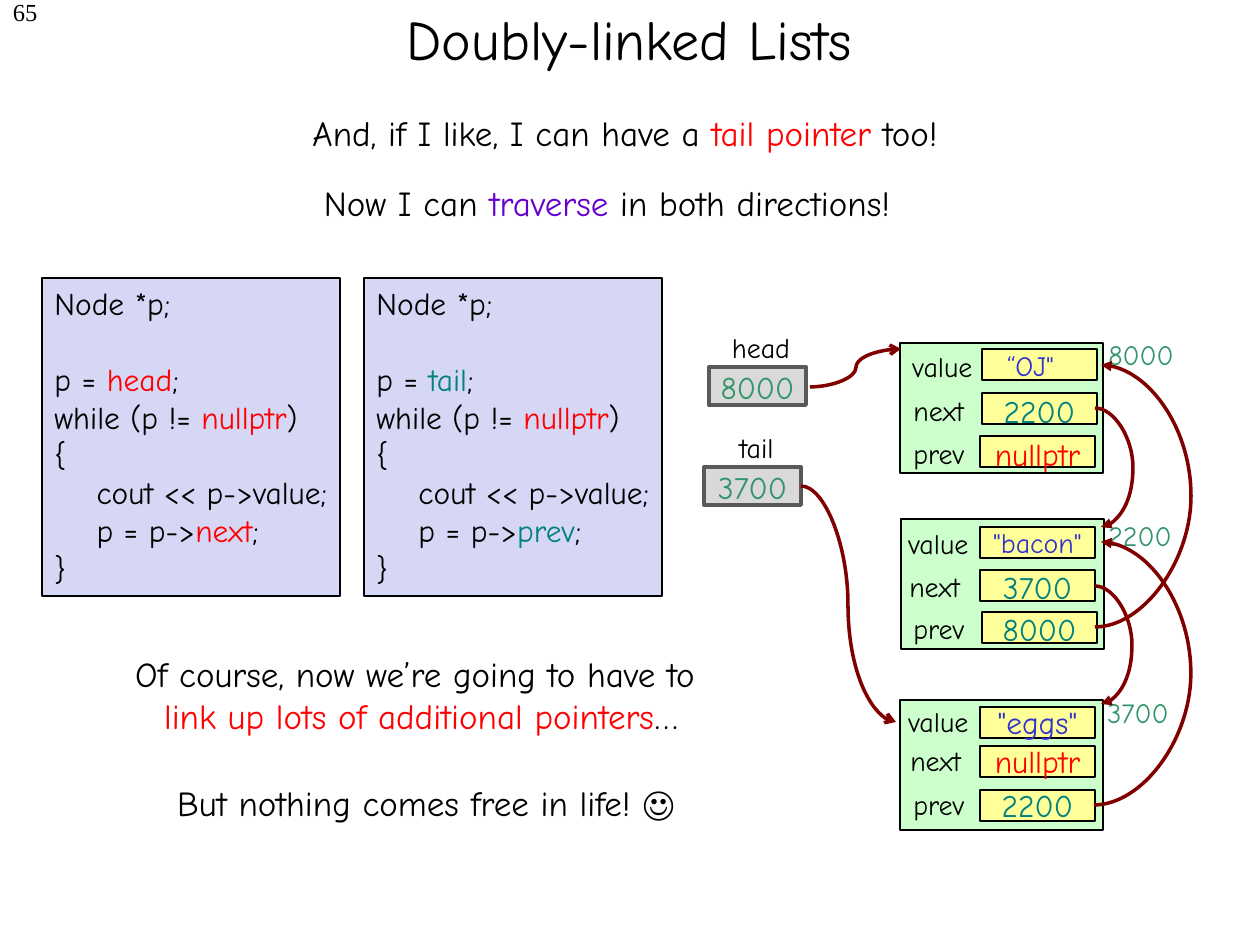
from lxml import etree
from pptx import Presentation
from pptx import util as u
from pptx.dml.color import RGBColor
from pptx.enum import shapes, text
from pptx.oxml.ns import qn

PX = 914400 // 126
FONT = "Comic Neue"
COLORS = {
    "black": "000000", "red": "FF0000", "purple": "6600CC", "teal": "008080",
    "green": "32946A", "blue": "3333CC", "maroon": "800000", "node": "CCFFCC",
    "cell": "FFFF99", "pointer": "D9D9D9", "edge": "595959", "code": "D6D6F5",
}
LEFT, CENTER, RIGHT = text.PP_ALIGN.LEFT, text.PP_ALIGN.CENTER, text.PP_ALIGN.RIGHT

SENTENCES = [
    ((94, -40, 1071, 157), 32, [("Doubly-linked Lists", "black")]),
    ((42, 105, 1166, 55), 20, [("And, if I like, I can have a ", "black"),
                               ("tail pointer ", "red"), ("too!", "black")]),
    ((24, 175, 1166, 55), 20, [("Now I can ", "black"), ("traverse ", "purple"),
                               ("in both directions!", "black")]),
    ((57, 646, 728, 97), 20, [("Of course, now we’re going to have to ", "black"), ("\n", "black"),
                              ("link up lots of additional pointers", "red"), ("…", "black")]),
    ((62, 775, 728, 55), 20, [("But nothing comes free in life! ☺", "black")]),
]
LOOPS = [(42, "head", "next", "red"), (364, "tail", "prev", "teal")]
POINTERS = [("head", "8000", 709, 367), ("tail", "3700", 704, 467)]
NODES = [
    {"at": (900, 343), "address": ("8000", 1096, 331), "lift": 6, "fields": [
        ("value", 900, 982, 349, "“OJ\"", "blue", 16, -9),
        ("next", 901, 982, 393, "2200", "teal", 18, 0),
        ("prev", 901, 980, 436, "nullptr", "red", 18, 0)]},
    {"at": (901, 519), "address": ("2200", 1096, 512), "lift": 7, "fields": [
        ("value", 896, 980, 527, "\"bacon\"", "blue", 16, 0),
        ("next", 897, 980, 570, "3700", "teal", 18, 0),
        ("prev", 901, 982, 612, "8000", "teal", 18, 0)]},
    {"at": (900, 700), "address": ("3700", 1095, 689), "lift": 9, "fields": [
        ("value", 896, 980, 707, "\"eggs\"", "blue", 18, 0),
        ("next", 898, 980, 746, "nullptr", "red", 18, 0),
        ("prev", 901, 980, 790, "2200", "teal", 18, 0)]},
]
LABEL_WIDTHS = {"value": 92, "next": 86, "prev": 83, "head": 88, "tail": 69}
LINKS = [
    ((1095, 408), (1101, 527), 1133, "triangle"),
    ((810, 387), (901, 349), 856, "arrow"),
    ((1095, 586), (1101, 704), 1132, "triangle"),
    ((1094, 805), (1101, 542), 1191, "triangle"),
    ((1095, 627), (1101, 365), 1191, "triangle"),
    ((801, 486), (896, 722), 848, "arrow"),
]


def color(name):
    return RGBColor.from_string(COLORS[name])


def emu(*lengths):
    return [length * PX for length in lengths]


def add_runs(paragraph, runs, size, align=LEFT, font=FONT):
    paragraph.alignment = align
    for words, shade in runs:
        if words == "\n":
            paragraph.add_line_break()
            continue
        run = paragraph.add_run()
        run.text = words
        run.font.name = font
        run.font.size = u.Pt(size)
        run.font.color.rgb = color(shade)


def add_text(slide, box, runs, size, align=LEFT, wrap=False, font=FONT, anchor=text.MSO_ANCHOR.TOP):
    frame = slide.shapes.add_textbox(*emu(*box)).text_frame
    frame.word_wrap = wrap
    frame.vertical_anchor = anchor
    add_runs(frame.paragraphs[0], runs, size, align, font)


def add_box(slide, box, fill, edge="black", weight=1):
    shape = slide.shapes.add_shape(shapes.MSO_SHAPE.RECTANGLE, *emu(*box))
    shape.shadow.inherit = False
    shape.fill.solid()
    shape.fill.fore_color.rgb = color(fill)
    shape.line.color.rgb = color(edge)
    shape.line.width = u.Pt(weight)
    return shape


def add_loop(slide, left, start, step, shade):
    lines = [
        [("Node *p;", "black")],
        [("p = ", "black"), (start, shade), (";", "black")],
        [("while (p != ", "black"), ("nullptr", "red"), (")", "black")],
        [("{", "black")],
        [("    cout << p->value;", "black")],
        [("    p = p->", "black"), (step, shade), (";", "black")],
        [("}", "black")],
    ]
    frame = add_box(slide, (left, 278, 298, 318), "code", weight=0.75).text_frame
    frame.word_wrap = False
    frame.vertical_anchor = text.MSO_ANCHOR.TOP
    for index, runs in enumerate(lines):
        paragraph = frame.add_paragraph() if index else frame.paragraphs[0]
        if index == 1:
            paragraph.space_before = u.Pt(21.6)
        add_runs(paragraph, runs, 18)


def add_node(slide, node):
    add_box(slide, (*node["at"], 203, 130), "node")
    address, left, top = node["address"]
    add_text(slide, (left, top, 94, 46), [(address, "green")], 16)
    for label, label_left, left, top, value, shade, size, shift in node["fields"]:
        label_top = top - node["lift"]
        add_text(slide, (label_left, label_top, LABEL_WIDTHS[label], 46), [(label, "black")], 16)
        add_box(slide, (left, top, 115, 31), "cell")
        add_text(slide, (left + shift, label_top - 1, 115, 50), [(value, shade)], size, CENTER)


def add_pointer(slide, label, value, left, top):
    width = LABEL_WIDTHS[label]
    add_text(slide, (left + 52 - width // 2, top - 43, width, 46), [(label, "black")], 16, CENTER)
    add_box(slide, (left, top, 97, 38), "pointer", "edge", 2.25)
    add_text(slide, (left - 3, top - 5, 103, 50), [(value, "green")], 18, CENTER)


def add_link(slide, start, end, bend, head):
    connector = slide.shapes.add_connector(shapes.MSO_CONNECTOR.CURVE, *emu(*start, *end))
    connector.line.color.rgb = color("maroon")
    connector.line.width = u.Pt(2)
    properties = connector._element.spPr
    guides = properties.find(qn("a:prstGeom")).get_or_add_avLst()
    share = round((bend - start[0]) / (end[0] - start[0]) * 100000)
    etree.SubElement(guides, qn("a:gd"), name="adj1", fmla=f"val {share}")
    etree.SubElement(connector.line._get_or_add_ln(), qn("a:tailEnd"), type=head)
    etree.SubElement(properties, qn("a:effectLst"))


def main():
    presentation = Presentation()
    presentation.slide_width, presentation.slide_height = u.Inches(10), u.Inches(7.5)
    slide = presentation.slides.add_slide(presentation.slide_layouts[6])
    add_text(slide, (0, -9, 50, 63), [("65", "black")], 14, RIGHT, font="Times New Roman")
    for box, size, runs in SENTENCES:
        anchor = text.MSO_ANCHOR.MIDDLE if size == 32 else text.MSO_ANCHOR.TOP
        add_text(slide, box, runs, size, CENTER, wrap=True, anchor=anchor)
    for loop in LOOPS:
        add_loop(slide, *loop)
    for node in NODES:
        add_node(slide, node)
    for pointer in POINTERS:
        add_pointer(slide, *pointer)
    for link in LINKS:
        add_link(slide, *link)
    presentation.save("out.pptx")


if __name__ == "__main__":
    main()
